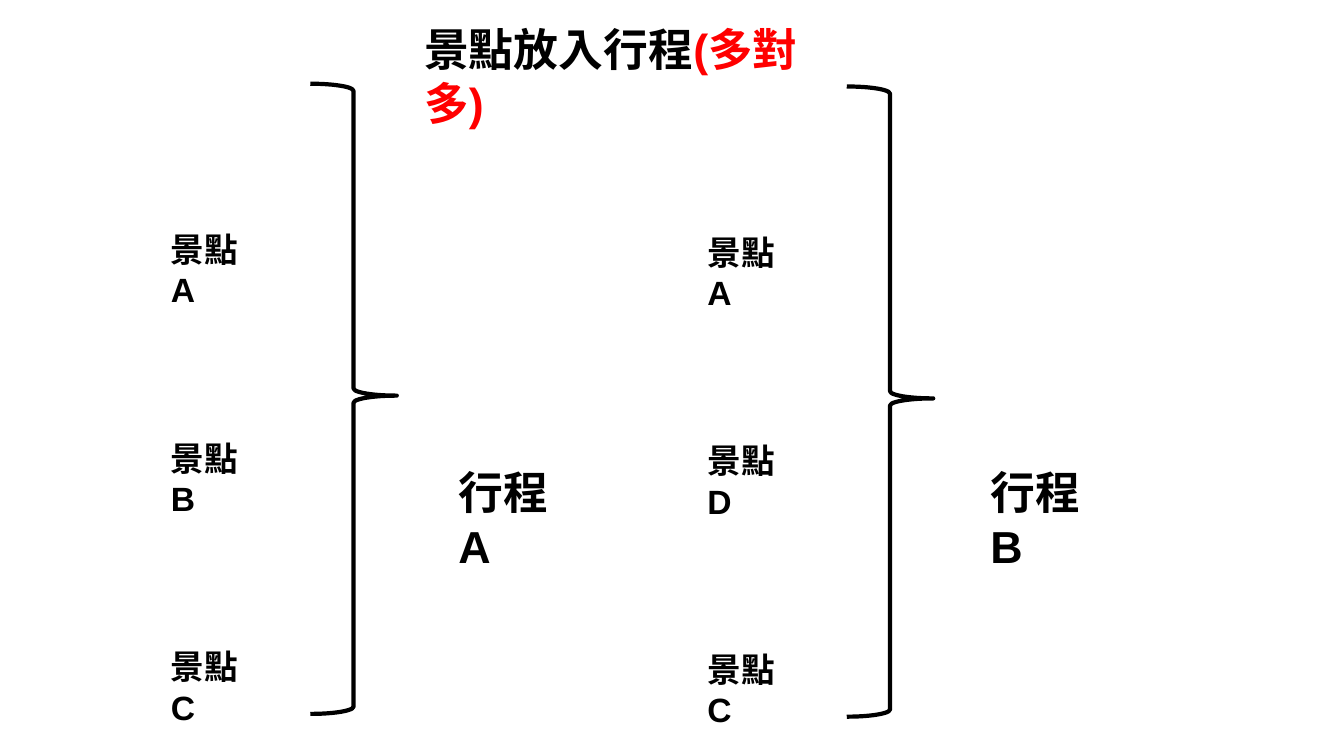
"""Build a slide on the many-to-many link between sights and trips."""
from pptx import Presentation
from pptx.dml.color import RGBColor
from pptx.enum.lang import MSO_LANGUAGE_ID
from pptx.enum.shapes import MSO_SHAPE
from pptx.enum.text import MSO_AUTO_SIZE
from pptx.util import Cm, Pt

BLACK = "000000"
RED = "FF0000"


def color(value):
    return RGBColor.from_string(value)


def add_text(paragraph, text, size=24, fill=BLACK, bold=True, name="Arial"):
    run = paragraph.add_run()
    run.text = text
    run.font.size = Pt(size)
    run.font.bold = bold
    run.font.name = name
    run.font.color.rgb = color(fill)
    run.font.language_id = MSO_LANGUAGE_ID.TRADITIONAL_CHINESE


class TripSlide:
    def __init__(self, slide, label_size=32, line_width=3):
        self.slide = slide
        self.label_size = label_size
        self.line_width = line_width

    def text_box(self, left, top, width, height):
        box = self.slide.shapes.add_textbox(Cm(left), Cm(top), Cm(width), Cm(height))
        frame = box.text_frame
        frame.word_wrap = True
        frame.auto_size = MSO_AUTO_SIZE.SHAPE_TO_FIT_TEXT
        return frame.paragraphs[0]

    def title(self, subject, relation):
        heading = self.text_box(10.44, 0.43, 11.4, 1.63)
        add_text(heading, subject, size=self.label_size)
        add_text(heading, relation, size=self.label_size, fill=RED)

    def trip_name(self, name, left):
        add_text(self.text_box(left, 11.58, 3.56, 1.63), name, size=self.label_size)

    def sights(self, names, left, top, pitch=5.26):
        for row, name in enumerate(names):
            add_text(self.text_box(left, top + row * pitch, 2.79, 1.27), name)

    def brace(self, left, top):
        brace = self.slide.shapes.add_shape(
            MSO_SHAPE.RIGHT_BRACE, Cm(left), Cm(top), Cm(2.18), Cm(15.88))
        brace.adjustments[0] = 0.083
        brace.adjustments[1] = 0.495
        brace.shadow.inherit = False
        brace.fill.background()
        brace.line.color.rgb = color(BLACK)
        brace.line.width = Pt(self.line_width)

    def trip(self, name, sights, left, top, name_left):
        self.trip_name(name, name_left)
        self.sights(sights, left, top + 3.53)
        self.brace(left + 3.76, top)


def main():
    deck = Presentation()
    deck.slide_width, deck.slide_height = Cm(33.87), Cm(19.05)
    page = TripSlide(deck.slides.add_slide(deck.slide_layouts[6]))
    page.title("景點放入行程", "(多對多)")
    page.trip("行程A", ["景點A", "景點B", "景點C"], left=4.06, top=2.11, name_left=11.3)
    page.trip("行程B", ["景點A", "景點D", "景點C"], left=17.58, top=2.18, name_left=24.71)
    deck.save("out.pptx")


if __name__ == "__main__":
    main()
